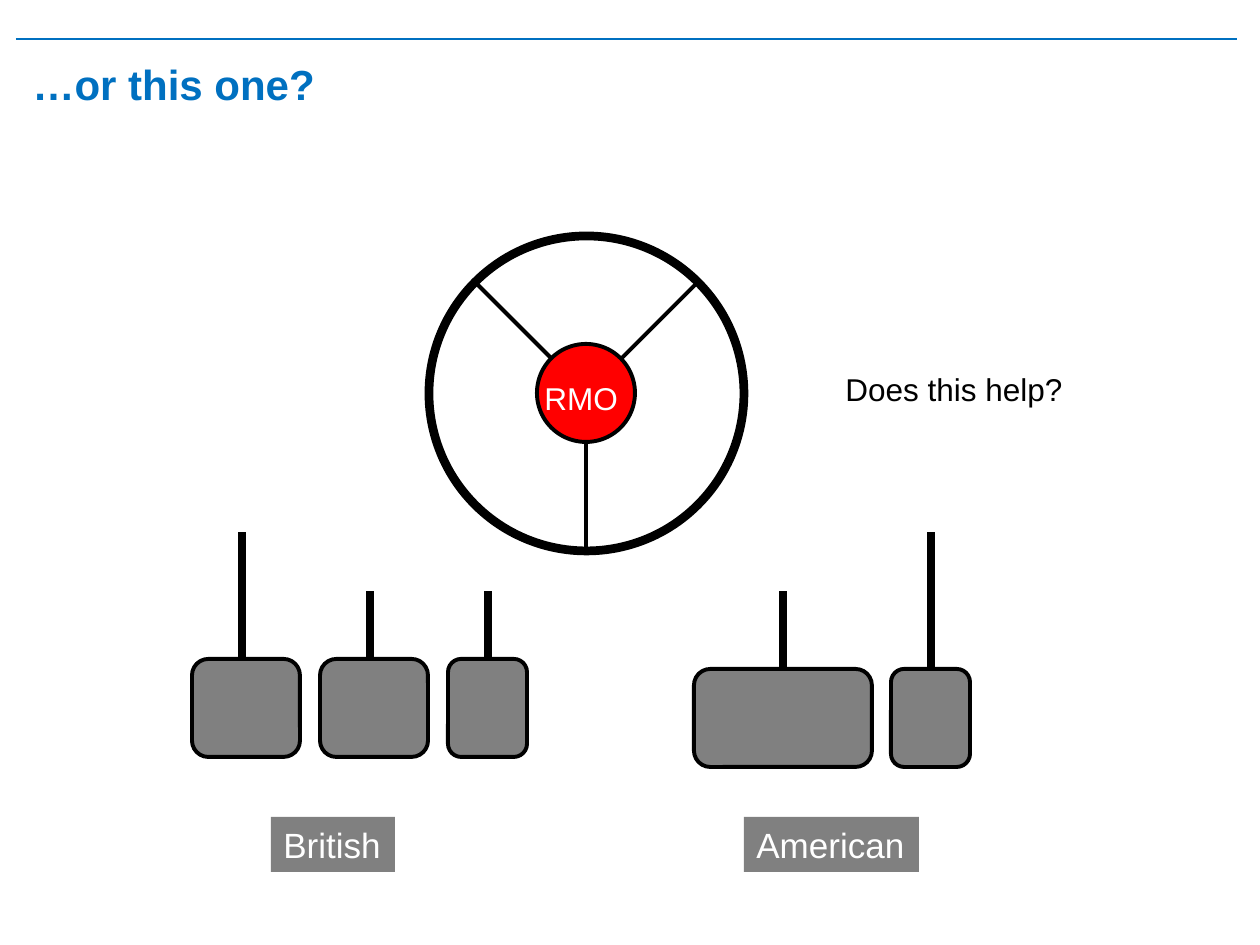
from pptx import Presentation
from pptx import util as u
from pptx.dml.color import RGBColor
from pptx.enum import shapes, text
from pptx.oxml.ns import qn
from lxml import etree

PX = 914400 // 126
FONT = "Arial"
COLORS = {"blue": "0070C0", "black": "000000", "grey": "808080",
          "red": "FF0000", "white": "FFFFFF"}
KIND = shapes.MSO_SHAPE
LEVER_TOP = 532
PEDAL_HEIGHT = 98


def px(*lengths):
    """Turn px lengths into EMU."""
    return [u.Emu(n * PX) for n in lengths]


def rgb(name):
    """Look up a named colour."""
    return RGBColor.from_string(COLORS[name])


def add_run(p, words, size, color, bold=False):
    """Add one formatted run to a paragraph."""
    r = p.add_run()
    r.text = words
    r.font.name = FONT
    r.font.size = u.Pt(size)
    r.font.bold = bold
    r.font.color.rgb = rgb(color)


def add_line(parent, start, end, width, color="black"):
    """Draw a straight line without a shadow."""
    line = parent.add_connector(shapes.MSO_CONNECTOR.STRAIGHT, *px(*start, *end))
    line.line.width = u.Pt(width)
    line.line.color.rgb = rgb(color)
    etree.SubElement(line._element.spPr, qn("a:effectLst"))


def add_shape(parent, kind, box, fill=None, width=None):
    """Draw a preset shape with an optional fill and outline."""
    sp = parent.add_shape(kind, *px(*box))
    sp.shadow.inherit = False
    if fill:
        sp.fill.solid()
        sp.fill.fore_color.rgb = rgb(fill)
    else:
        sp.fill.background()
    if width:
        sp.line.width = u.Pt(width)
        sp.line.color.rgb = rgb("black")
    else:
        sp.line.fill.background()


def add_label(parent, words, box, size, color, fill=None):
    """Add a one-line text box that fits its words."""
    sp = parent.add_textbox(*px(*box))
    if fill:
        sp.fill.solid()
        sp.fill.fore_color.rgb = rgb(fill)
    tf = sp.text_frame
    tf.word_wrap = False
    tf.auto_size = text.MSO_AUTO_SIZE.SHAPE_TO_FIT_TEXT
    add_run(tf.paragraphs[0], words, size, color)


def add_title(slide, words):
    """Place and format the title placeholder."""
    sp = slide.shapes.title
    sp.left, sp.top, sp.width, sp.height = px(20, 49, 1211, 69)
    tf = sp.text_frame
    tf.vertical_anchor = text.MSO_ANCHOR.MIDDLE
    p = tf.paragraphs[0]
    p.alignment = text.PP_ALIGN.LEFT
    add_run(p, words, 24, "blue", bold=True)


def add_pedals(parent, top, pedals):
    """Draw a row of pedals, each hanging from its lever."""
    for left, width, lever in pedals:
        add_line(parent, (lever, top + 1), (lever, LEVER_TOP), 5)
        add_shape(parent, KIND.ROUNDED_RECTANGLE,
                  (left, top, width, PEDAL_HEIGHT), "grey", 2.25)


def add_wheel(parent):
    """Draw the steering wheel on its white panel."""
    add_shape(parent, KIND.RECTANGLE, (360, 207, 462, 384), "white")
    add_shape(parent, KIND.OVAL, (429, 236, 315, 315), width=5)
    add_shape(parent, KIND.OVAL, (537, 344, 98, 98), "red", 2.25)
    add_label(parent, "RMO", (532, 373, 108, 50), 18, "white")
    for start, end in [((621, 359), (698, 282)), ((552, 359), (475, 282)),
                       ((586, 443), (586, 552))]:
        add_line(parent, start, end, 2.25)


def main():
    """Build the slide and save it."""
    prs = Presentation()
    prs.slide_width, prs.slide_height = px(1260, 945)
    slide = prs.slides.add_slide(prs.slide_layouts[5])
    canvas = slide.shapes
    add_line(canvas, (16, 39), (1237, 39), 0.75, "blue")
    add_title(slide, "…or this one?")
    add_pedals(canvas, 659, [(192, 108, 242), (320, 108, 370), (448, 79, 488)])
    add_pedals(canvas, 669, [(694, 178, 783), (891, 79, 931)])
    add_label(canvas, "British", (271, 817, 124, 55), 20, "white", "grey")
    add_label(canvas, "American", (744, 817, 175, 55), 20, "white", "grey")
    group = canvas.add_group_shape().shapes
    add_wheel(group)
    add_label(group, "Does this help?", (833, 364, 244, 50), 18, "black")
    prs.save("out.pptx")


if __name__ == "__main__":
    main()
